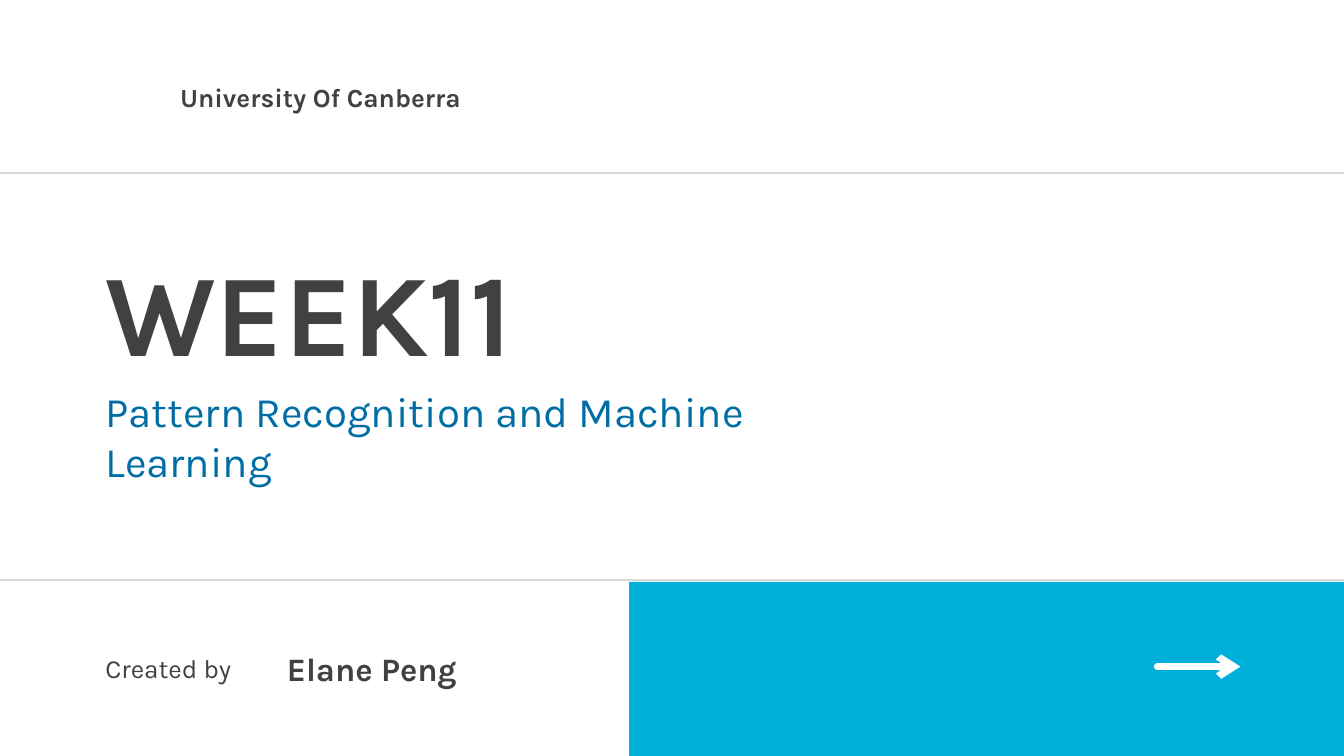
"""Build the title slide for the week 11 lecture."""
from lxml import etree
from pptx import Presentation
from pptx import util as u
from pptx.dml.color import RGBColor
from pptx.enum import shapes, text
from pptx.oxml.ns import qn

W, H = 1440, 810
INK, BLUE, CYAN, GREY, WHITE = "414042", "006EA4", "00B0DB", "D9D9D9", "FFFFFF"
MARGIN = 113

TITLE = ("WEEK11", (MARGIN, 282, 1064, 131), 125, {"size": 125, "bold": True}, INK)
SUBTITLE = ("Pattern Recognition and Machine Learning",
            (MARGIN, 412.6, 708.5, 108.7), 54, {"size": 45, "bold": False}, BLUE)
LABELS = [
    ("University Of Canberra", (193, 90, 323.3, 31), 30.8, {"size": 28, "bold": True}, INK),
    ("Created by", (MARGIN, 702, 195, 31), 30.8, {"size": 28, "bold": False}, INK),
    ("Elane Peng", (307.4, 698.4, 300, 39.6), 38.5, {"size": 35, "bold": True}, INK),
]
BAND = (674, 623.5, W - 674, H - 623.5)
RULES = [185, 621.4]
ARROW = (1240, 1329, 714.2)


def rgb(value):
    return RGBColor.from_string(value)


def pts(values):
    return [u.Pt(v) for v in values]


def write(sp, content, box, leading, fmt, color):
    sp.left, sp.top, sp.width, sp.height = pts(box)
    tf = sp.text_frame
    frame = {"word_wrap": True, "auto_size": text.MSO_AUTO_SIZE.NONE,
             "vertical_anchor": text.MSO_ANCHOR.TOP,
             "margin_left": 0, "margin_top": 0, "margin_right": 0, "margin_bottom": 0}
    for name, value in frame.items():
        setattr(tf, name, value)
    p = tf.paragraphs[0]
    para = {"alignment": text.PP_ALIGN.LEFT, "line_spacing": u.Pt(leading),
            "space_before": u.Pt(0)}
    for name, value in para.items():
        setattr(p, name, value)
    r = p.add_run()
    r.text = content
    for name, value in {**fmt, "size": u.Pt(fmt["size"]), "name": "Karla"}.items():
        setattr(r.font, name, value)
    r.font.color.rgb = rgb(color)


def line(slide, x1, x2, y, color, width):
    ln = slide.shapes.add_connector(shapes.MSO_CONNECTOR.STRAIGHT, *pts((x1, y, x2, y)))
    ln.line.color.rgb = rgb(color)
    ln.line.width = u.Pt(width)
    etree.SubElement(ln._element.spPr, qn("a:effectLst"))
    return ln


def main():
    prs = Presentation()
    prs.slide_width, prs.slide_height = pts((W, H))
    slide = prs.slides.add_slide(prs.slide_layouts[0])
    slide.background.fill.solid()
    slide.background.fill.fore_color.rgb = rgb(WHITE)

    band = slide.shapes.add_shape(shapes.MSO_SHAPE.RECTANGLE, *pts(BAND))
    band.shadow.inherit = False
    band.fill.solid()
    band.fill.fore_color.rgb = rgb(CYAN)
    band.line.fill.background()

    for y in RULES:
        line(slide, 0, W, y, GREY, 2.25)
    arrow = line(slide, *ARROW, WHITE, 7.5)
    ln = arrow.line._get_or_add_ln()
    ln.set("cap", "rnd")
    etree.SubElement(ln, qn("a:tailEnd"), type="arrow", w="med", len="med")

    write(slide.shapes.title, *TITLE)
    write(slide.placeholders[1], *SUBTITLE)
    for label in LABELS:
        write(slide.shapes.add_textbox(*pts(label[1])), *label)

    prs.save("out.pptx")


if __name__ == "__main__":
    main()
